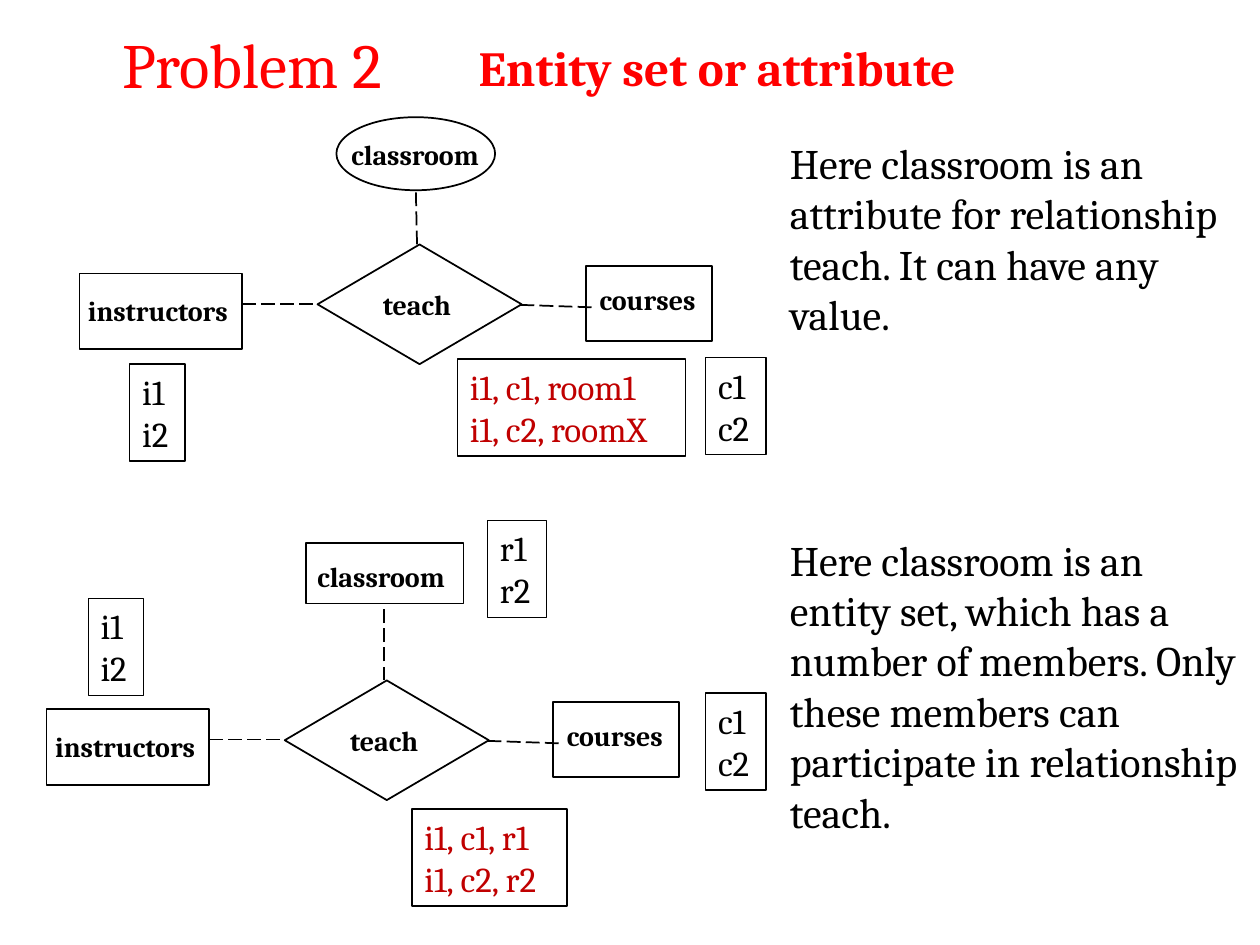
from dataclasses import dataclass

from lxml import etree
from pptx import Presentation
from pptx.dml.color import RGBColor
from pptx.enum.dml import MSO_LINE
from pptx.enum.shapes import MSO_CONNECTOR, MSO_SHAPE
from pptx.enum.text import MSO_ANCHOR, MSO_AUTO_SIZE, PP_ALIGN
from pptx.oxml.ns import qn
from pptx.util import Inches, Pt


@dataclass(frozen=True)
class Theme:
    font: str = "Cambria"
    black: RGBColor = RGBColor(0, 0, 0)
    heading: RGBColor = RGBColor(0xFF, 0, 0)
    relation: RGBColor = RGBColor(0xC0, 0, 0)
    title: int = 36
    subtitle: int = 28
    note: int = 24
    member: int = 20
    label: int = 16


theme = Theme()


def write(shape, lines, size, color, bold=False, wrap=False):
    frame = shape.text_frame
    frame.text = "\n".join(lines)
    frame.word_wrap = wrap
    frame.auto_size = MSO_AUTO_SIZE.SHAPE_TO_FIT_TEXT
    frame.vertical_anchor = MSO_ANCHOR.TOP
    for para in frame.paragraphs:
        para.alignment = PP_ALIGN.LEFT
        font = para.font
        font.name, font.size, font.bold = theme.font, Pt(size), bold
        font.color.rgb = color


def add_text(slide, box, text, size, color=theme.black, bold=False, wrap=False):
    shape = slide.shapes.add_textbox(*map(Inches, box))
    write(shape, [text], size, color, bold, wrap)


def add_outline(slide, kind, box, weight=1):
    shape = slide.shapes.add_shape(kind, *map(Inches, box))
    shape.shadow.inherit = False
    shape.fill.background()
    shape.line.color.rgb = theme.black
    shape.line.width = Pt(weight)
    return shape


def add_link(slide, start, end):
    link = slide.shapes.add_connector(
        MSO_CONNECTOR.STRAIGHT, *map(Inches, (*start, *end)))
    link.line.color.rgb = theme.black
    link.line.width = Pt(1)
    link.line.dash_style = MSO_LINE.LONG_DASH
    etree.SubElement(link._element.spPr, qn("a:effectLst"))


def add_header(slide, left, top):
    title = slide.shapes.title
    title.left, title.top = Inches(left), Inches(top)
    title.width, title.height = Inches(2.43), Inches(0.71)
    write(title, ["Problem 2"], theme.title, theme.heading)
    add_text(slide, (left + 2.83, top + 0.1, 4.82, 0.57),
             "Entity set or attribute", theme.subtitle, theme.heading, True, True)


def add_diagram(slide, left, top, classroom_kind, classroom, classroom_label, link_end):
    """Draw the teach relationship; all positions are relative to left, top."""
    def place(x, y, *size):
        return (left + x, top + y, *size)

    # Outline, then its label
    nodes = [
        ("instructors", MSO_SHAPE.RECTANGLE, (0, 0.23, 1.29, 0.6), (-0.03, 0.34, 1.37, 0.37)),
        ("courses", MSO_SHAPE.RECTANGLE, (4.02, 0.17, 1, 0.6), (4.03, 0.25, 0.99, 0.37)),
        ("teach", MSO_SHAPE.DIAMOND, (1.89, 0, 1.62, 0.95), (2.31, 0.29, 0.76, 0.37)),
        ("classroom", classroom_kind, classroom, (*classroom_label, 1.26, 0.37)),
    ]
    for name, kind, outline, label in nodes:
        add_outline(slide, kind, place(*outline))
        add_text(slide, place(*label), name, theme.label, bold=True)

    # Dashed links from teach to its three partners
    links = [((1.29, 0.47), (1.88, 0.47)), ((3.5, 0.48), (4.09, 0.5)),
             ((2.68, 0), link_end)]
    for start, end in links:
        add_link(slide, place(*start), place(*end))


def add_members(slide, left, top, width, lines, color=theme.black):
    box = add_outline(slide, MSO_SHAPE.RECTANGLE, (left, top, width, 0.77), 0.75)
    write(box, lines, theme.member, color)


deck = Presentation()
deck.slide_width, deck.slide_height = Inches(10), Inches(7.5)
page = deck.slides.add_slide(deck.slide_layouts[5])

add_header(page, 0.87, 0.15)

# Classroom as an attribute, then as an entity set
add_diagram(page, 0.63, 1.94, MSO_SHAPE.OVAL,
            (2.04, -1.01, 1.26, 0.58), (2.06, -0.9), (2.67, -0.44))
add_diagram(page, 0.37, 5.4, MSO_SHAPE.RECTANGLE,
            (2.06, -1.09, 1.25, 0.48), (2.05, -1.01), (2.68, -0.59))

# Members of each set
instructors, courses, rooms = (["i1", "i2"], ["c1", "c2"], ["r1", "r2"])
add_members(page, 1.03, 2.89, 0.44, instructors)
add_members(page, 0.7, 4.75, 0.44, instructors)
add_members(page, 5.6, 2.84, 0.48, courses)
add_members(page, 5.6, 5.5, 0.48, courses)
add_members(page, 3.87, 4.13, 0.47, rooms)

# Members of the relationship
add_members(page, 3.63, 2.85, 1.81, ["i1, c1, room1", "i1, c2, roomX"], theme.relation)
add_members(page, 3.27, 6.42, 1.23, ["i1, c1, r1", "i1, c2, r2"], theme.relation)

# Explanations
notes = [
    (1.04, 1.72, "Here classroom is an attribute for relationship teach. "
                 "It can have any value."),
    (4.19, 2.52, "Here classroom is an entity set, which has a number of members. "
                 "Only these members can participate in relationship teach."),
]
for note_top, note_height, note in notes:
    add_text(page, (6.17, note_top, 3.78, note_height), note, theme.note, wrap=True)

deck.save("out.pptx")
